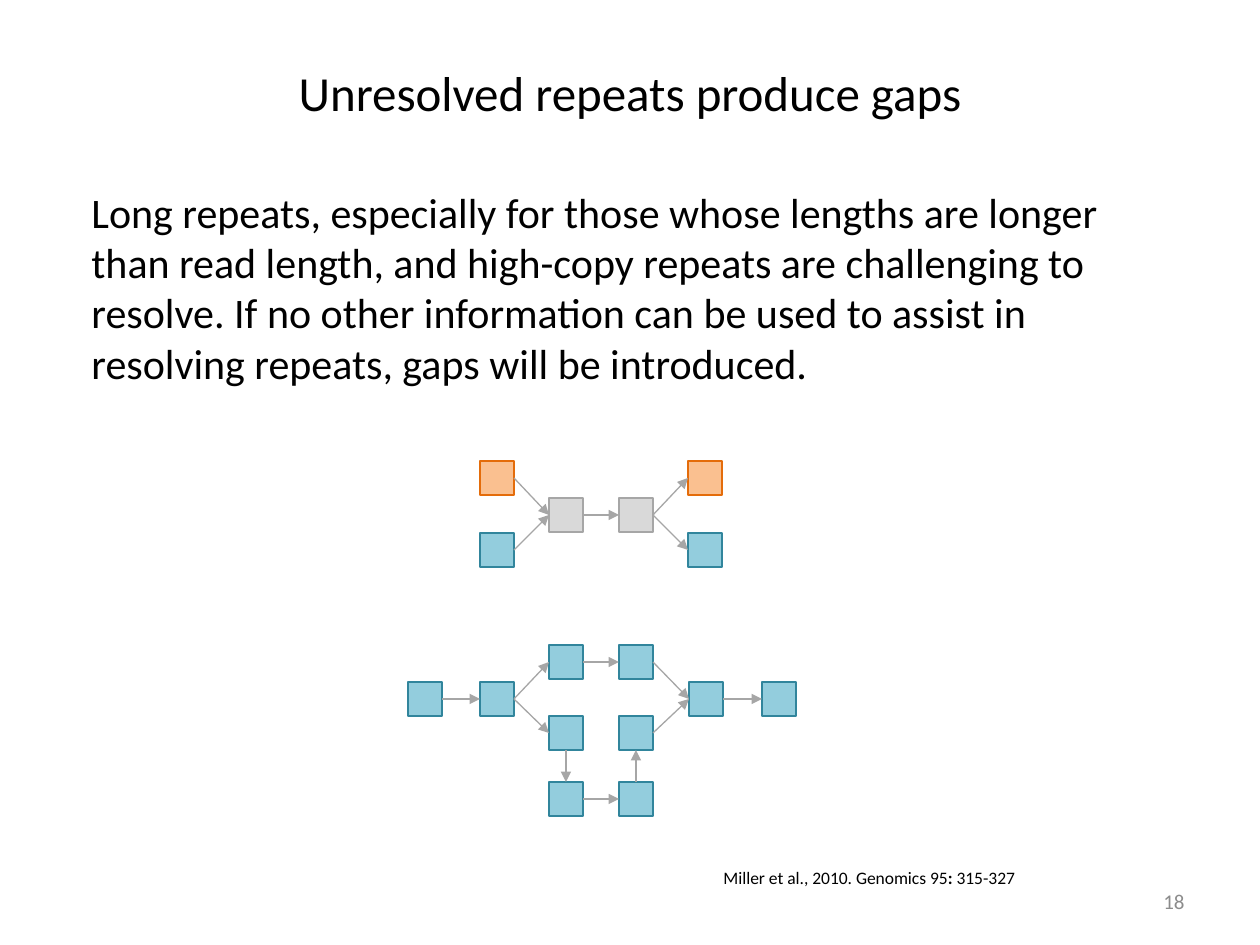
from lxml.etree import SubElement
from pptx import Presentation
from pptx.dml.color import RGBColor
from pptx.enum.shapes import MSO_CONNECTOR, MSO_SHAPE
from pptx.enum.text import MSO_ANCHOR, MSO_AUTO_SIZE, PP_ALIGN
from pptx.oxml.ns import qn
from pptx.util import Emu, Pt

PX = 914400 / 126
COLORS = {
    "text": "000000", "number": "8C8C8C", "arrow": "A6A6A6",
    "gray": "D9D9D9", "gray_line": "A6A6A6",
    "orange": "FAC090", "orange_line": "E46C0A",
    "blue": "93CDDD", "blue_line": "31859C",
}
NODE_SIZE = 34
TOP, LEFT, BOTTOM, RIGHT = range(4)

# Graph nodes: name -> (left, top, color)
NODES = {
    # Repeat shared by two paths
    "repeat start": (549, 498, "gray"),
    "repeat end": (619, 498, "gray"),
    "orange in": (480, 461, "orange"),
    "orange out": (688, 461, "orange"),
    "blue in": (480, 533, "blue"),
    "blue out": (688, 533, "blue"),
    # Path that splits and joins again
    "first": (408, 682, "blue"),
    "split": (480, 682, "blue"),
    "join": (689, 682, "blue"),
    "last": (762, 682, "blue"),
    "upper left": (549, 645, "blue"),
    "upper right": (619, 645, "blue"),
    "middle left": (549, 716, "blue"),
    "middle right": (619, 716, "blue"),
    "lower left": (549, 782, "blue"),
    "lower right": (619, 782, "blue"),
}
SIDEWAYS_ARROWS = [
    ("orange in", "repeat start"), ("blue in", "repeat start"),
    ("repeat start", "repeat end"),
    ("repeat end", "orange out"), ("repeat end", "blue out"),
    ("first", "split"), ("split", "upper left"), ("split", "middle left"),
    ("upper left", "upper right"), ("lower left", "lower right"),
    ("upper right", "join"), ("middle right", "join"), ("join", "last"),
]


def emu(pixels):
    return Emu(round(pixels * PX))


def color(name):
    return RGBColor.from_string(COLORS[name])


class SlideBuilder:
    font = "Calibri"
    line_width = Pt(0.75)

    def __init__(self, slide):
        self.slide = slide

    def text(self, box, runs, size, color_name="text", align=PP_ALIGN.LEFT, **frame_format):
        shape = self.slide.shapes.add_textbox(*map(emu, box))
        frame = shape.text_frame
        for name, value in {"word_wrap": True, **frame_format}.items():
            setattr(frame, name, value)
        paragraph = frame.paragraphs[0]
        paragraph.alignment = align
        for content, bold in runs:
            run = paragraph.add_run()
            run.text = content
            run.font.color.rgb = color(color_name)
            font_format = {"name": self.font, "size": Pt(size), "bold": bold}
            for name, value in font_format.items():
                setattr(run.font, name, value)

    def node(self, left, top, color_name):
        shape = self.slide.shapes.add_shape(
            MSO_SHAPE.RECTANGLE, *map(emu, (left, top, NODE_SIZE, NODE_SIZE)))
        shape.shadow.inherit = False
        shape.fill.solid()
        shape.fill.fore_color.rgb = color(color_name)
        shape.line.color.rgb = color(f"{color_name}_line")
        shape.line.width = self.line_width
        return shape

    def arrow(self, start, end, start_side=RIGHT, end_side=LEFT):
        connector = self.slide.shapes.add_connector(MSO_CONNECTOR.STRAIGHT, 0, 0, 0, 0)
        connector.begin_connect(start, start_side)
        connector.end_connect(end, end_side)
        connector.line.color.rgb = color("arrow")
        connector.line.width = self.line_width
        SubElement(connector.line._get_or_add_ln(), qn("a:tailEnd"), type="triangle")
        SubElement(connector._element.spPr, qn("a:effectLst"))


def main():
    presentation = Presentation()
    presentation.slide_width = emu(1260)
    presentation.slide_height = emu(945)
    builder = SlideBuilder(presentation.slides.add_slide(presentation.slide_layouts[6]))

    # Title and explanation
    builder.text((63, 38, 1134, 107), [("Unresolved repeats produce gaps", False)], 28,
                 align=PP_ALIGN.CENTER, vertical_anchor=MSO_ANCHOR.MIDDLE)
    builder.text((79, 180, 1080, 217), [(
        "Long repeats, especially for those whose lengths are longer than read length, "
        "and high-copy repeats are challenging to resolve. If no other information can be "
        "used to assist in resolving repeats, gaps will be introduced.", False)], 24,
        auto_size=MSO_AUTO_SIZE.SHAPE_TO_FIT_TEXT)

    # Both graphs
    nodes = {name: builder.node(*place) for name, place in NODES.items()}
    for start, end in SIDEWAYS_ARROWS:
        builder.arrow(nodes[start], nodes[end])
    builder.arrow(nodes["middle left"], nodes["lower left"], BOTTOM, TOP)
    builder.arrow(nodes["lower right"], nodes["middle right"], TOP, BOTTOM)

    # Citation and slide number
    builder.text((711, 861, 321, 34), [
        ("Miller et al., 2010. Genomics 95", False), (":", True), (" 315-327", False)], 10,
        word_wrap=False, auto_size=MSO_AUTO_SIZE.SHAPE_TO_FIT_TEXT)
    builder.text((903, 876, 294, 50), [("18", False)], 12, "number", PP_ALIGN.RIGHT,
                 vertical_anchor=MSO_ANCHOR.MIDDLE)

    presentation.save("out.pptx")


if __name__ == "__main__":
    main()
